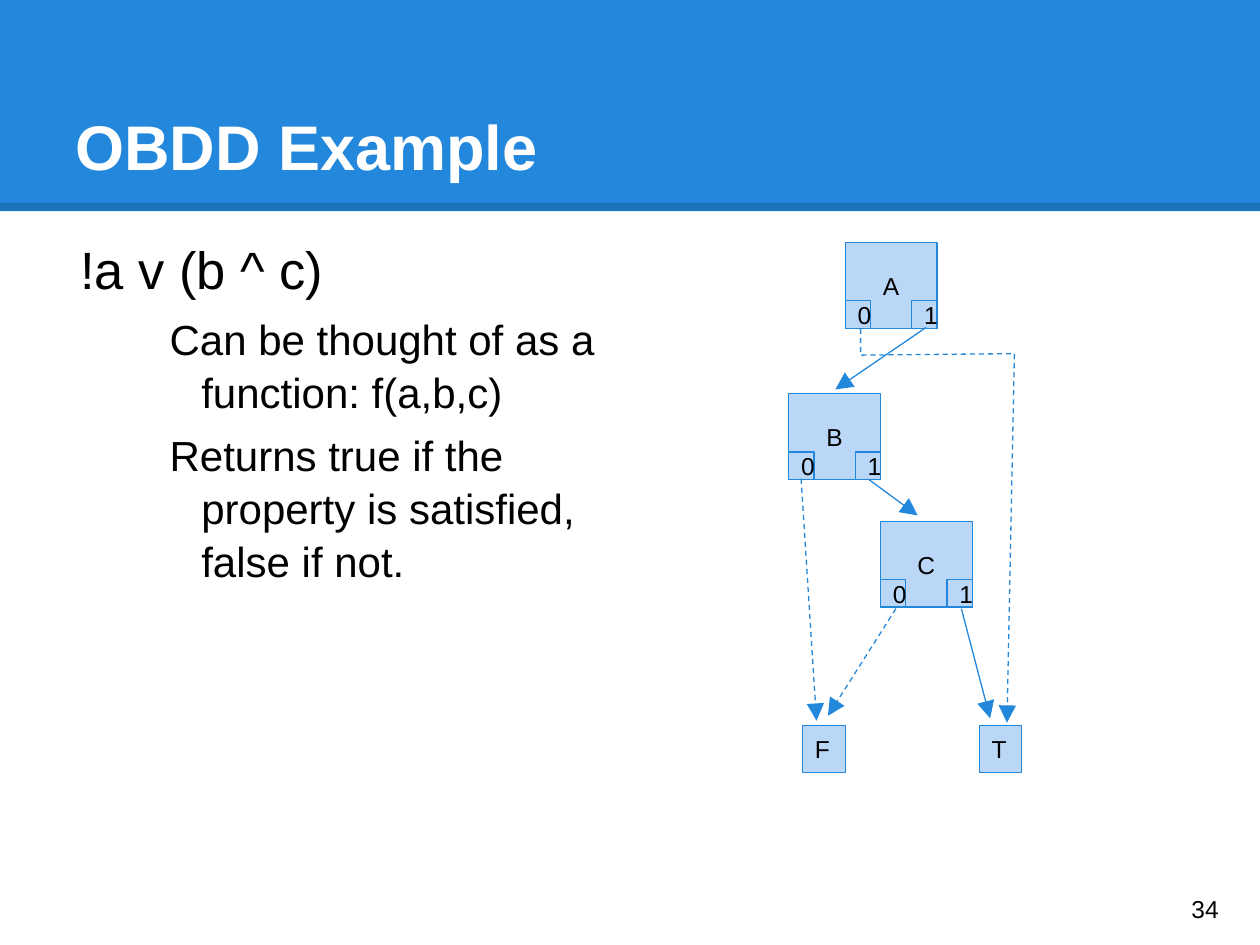
from lxml.etree import SubElement
from pptx import Presentation
from pptx.dml.color import RGBColor
from pptx.enum.dml import MSO_LINE_DASH_STYLE as Dash
from pptx.enum.shapes import MSO_CONNECTOR_TYPE as Link, MSO_SHAPE as Shape
from pptx.enum.text import MSO_ANCHOR as Anchor, PP_ALIGN as Align
from pptx.oxml.ns import qn
from pptx.util import Cm, Pt

BLUE = RGBColor(0x23, 0x88, 0xDB)
PALE = RGBColor(0xBB, 0xD7, 0xF8)
BLACK = RGBColor(0, 0, 0)
WHITE = RGBColor(255, 255, 255)

WIDTH, HEIGHT = 25.4, 19.05
NODE_W, NODE_H = 1.85, 1.73
PORT_W, PORT_H = 0.51, 0.56
LEAF_W, LEAF_H = 0.86, 0.94


class DiagramSlide:
    font = "Arial"
    inset = 0.25
    label_size = 14
    line_width = 0.75

    def __init__(self, deck):
        self.slide = deck.slides.add_slide(deck.slide_layouts[6])
        self.shapes = self.slide.shapes

    def frame(self, shape, anchor, right=inset, vertical=inset):
        frame = shape.text_frame
        frame.word_wrap = True
        frame.vertical_anchor = anchor
        frame.margin_left, frame.margin_right = Cm(self.inset), Cm(right)
        frame.margin_top = frame.margin_bottom = Cm(vertical)
        return frame

    def run(self, paragraph, text, size, color=BLACK, bold=False):
        run = paragraph.add_run()
        run.text = text
        run.font.name = self.font
        run.font.size = Pt(size)
        run.font.bold = bold
        run.font.color.rgb = color

    def text(self, x, y, w, h, anchor=Anchor.TOP):
        box = self.shapes.add_textbox(Cm(x), Cm(y), Cm(w), Cm(h))
        return self.frame(box, anchor)

    def band(self, x, y, w, h):
        band = self.shapes.add_shape(Shape.RECTANGLE, Cm(x), Cm(y), Cm(w), Cm(h))
        band.shadow.inherit = False
        band.fill.solid()
        band.fill.fore_color.rgb = BLUE
        band.line.fill.background()

    def rule(self, y, width, opacity):
        rule = self.connector((0, y), (WIDTH, y))
        rule.line.color.rgb = BLACK
        rule.line.width = Pt(width)
        color = rule.line._get_or_add_ln().find(".//" + qn("a:srgbClr"))
        SubElement(color, qn("a:alpha"), val=str(opacity * 1000))

    def box(self, x, y, w, h, label, align=Align.LEFT):
        box = self.shapes.add_shape(Shape.RECTANGLE, Cm(x), Cm(y), Cm(w), Cm(h))
        box.shadow.inherit = False
        box.fill.solid()
        box.fill.fore_color.rgb = PALE
        box.line.color.rgb = BLUE
        box.line.width = Pt(self.line_width)
        right = self.inset if align == Align.CENTER else 0
        paragraph = self.frame(box, Anchor.MIDDLE, right, 0).paragraphs[0]
        paragraph.alignment = align
        self.run(paragraph, label, self.label_size)

    def decision(self, x, y, label):
        self.box(x, y, NODE_W, NODE_H, label, Align.CENTER)
        port_y = y + NODE_H - PORT_H
        for port, port_x in (("0", x), ("1", x + NODE_W - PORT_W)):
            self.box(port_x, port_y, PORT_W, PORT_H, port)

    def connector(self, start, end):
        points = [Cm(v) for v in (*start, *end)]
        connector = self.shapes.add_connector(Link.STRAIGHT, *points)
        SubElement(connector._element.spPr, qn("a:effectLst"))
        return connector

    def bent(self, points):
        corners = [(Cm(x), Cm(y)) for x, y in points]
        builder = self.shapes.build_freeform(*corners[0])
        builder.add_line_segments(corners[1:], close=False)
        route = builder.convert_to_shape()
        route.shadow.inherit = False
        route.fill.background()
        return route

    def edge(self, points, dashed):
        edge = self.connector(*points) if len(points) == 2 else self.bent(points)
        edge.line.color.rgb = BLUE
        edge.line.width = Pt(self.line_width)
        if dashed:
            edge.line.dash_style = Dash.DASH
        SubElement(edge.line._get_or_add_ln(), qn("a:tailEnd"),
                   type="triangle", w="lg", len="lg")

    def outline(self, frame, entries):
        for index, (text, size, margin, indent) in enumerate(entries):
            paragraph = frame.add_paragraph() if index else frame.paragraphs[0]
            paragraph.line_spacing = 1.05
            if index:
                paragraph.space_before = Pt(6)
            properties = paragraph._p.get_or_add_pPr()
            properties.set("marL", str(Cm(margin)))
            properties.set("indent", str(Cm(indent)))
            self.run(paragraph, text, size)


def main():
    deck = Presentation()
    deck.slide_width, deck.slide_height = Cm(WIDTH), Cm(HEIGHT)
    page = DiagramSlide(deck)

    page.band(0, 0, WIDTH, 4.26)
    page.rule(4.17, 4.5, 15)
    title = page.text(1.27, 0.76, 22.86, 3.18, Anchor.BOTTOM)
    page.run(title.paragraphs[0], "OBDD Example", 36, WHITE, True)

    page.outline(page.text(1.27, 4.47, 11.1, 13.79), [
        ("!a v (b ^ c)", 30, 1.27, -1.17),
        ("Can be thought of as a function: f(a,b,c)", 24, 2.54, -0.64),
        ("Returns true if the property is satisfied, false if not.", 24, 2.54, -0.64),
    ])

    for label, x, y in (("A", 17.04, 4.89), ("B", 15.9, 7.94), ("C", 17.75, 10.51)):
        page.decision(x, y, label)
    for label, x in (("T", 19.74), ("F", 16.18)):
        page.box(x, 14.63, LEAF_W, LEAF_H, label)

    a_false = [(17.35, 6.63), (17.35, 7.16), (20.45, 7.13), (20.3, 14.57)]
    a_true = [(18.67, 6.6), (16.84, 7.85)]
    b_true = [(17.52, 9.67), (18.5, 10.39)]
    b_false = [(16.15, 9.65), (16.46, 14.53)]
    c_false = [(18.06, 12.27), (16.69, 14.43)]
    c_true = [(19.38, 12.27), (19.96, 14.48)]
    for route in (a_false, b_false, c_false):
        page.edge(route, dashed=True)
    for route in (a_true, b_true, c_true):
        page.edge(route, dashed=False)

    number = page.text(23.77, 17.6, 1.52, 1.45, Anchor.MIDDLE)
    page.run(number.paragraphs[0], "34", 14)

    deck.save("out.pptx")


if __name__ == "__main__":
    main()
